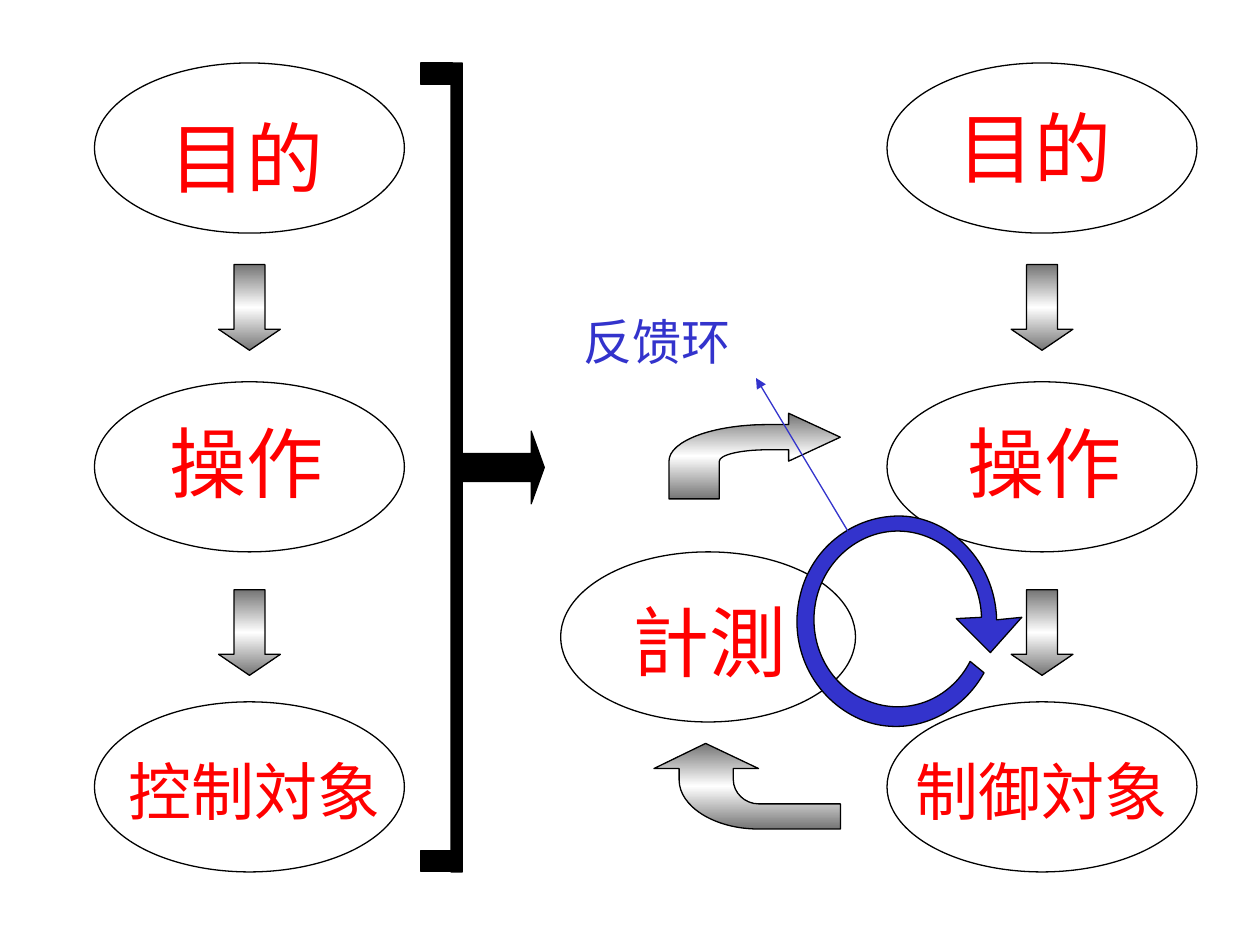
"""Build a slide comparing open control with a feedback loop."""
import copy

import lxml.etree
import pptx
import pptx.dml.color
import pptx.enum.shapes
import pptx.oxml.ns
import pptx.util

Inches = pptx.util.Inches
RGBColor = pptx.dml.color.RGBColor
SHAPES = pptx.enum.shapes.MSO_SHAPE
qn = pptx.oxml.ns.qn

BLACK = RGBColor(0x00, 0x00, 0x00)
WHITE = RGBColor(0xFF, 0xFF, 0xFF)
GRAY = RGBColor(0x75, 0x75, 0x75)
RED = RGBColor(0xFF, 0x00, 0x00)
BLUE = RGBColor(0x33, 0x33, 0xCC)
FONT = "Noto Sans CJK JP"

COLUMNS = (0.75, 7.04)
ROWS = (0.5, 3.03, 5.57)
ELLIPSE_WIDTH, ELLIPSE_HEIGHT = 2.46, 1.35
MEASURE_ELLIPSE = (4.45, 4.38, 2.34, ELLIPSE_HEIGHT)
DOWN_ARROW_TOPS = (2.1, 4.68)
DOWN_ARROW_WIDTH, DOWN_ARROW_HEIGHT = 0.49, 0.68
CALLOUT = (3.58, 0.5, 0.74, 6.42)
BRACKET_ENDS = [(3.34, top, 0.25, 0.17) for top in (0.5, 6.75)]

LABELS = [
    ("目的", 1.25, 0.83, 44),
    ("控制対象", 0.92, 5.92, 36),
    ("操作", 1.25, 3.25, 44),
    ("目的", 7.5, 0.75, 44),
    ("操作", 7.58, 3.25, 44),
    ("制御対象", 7.17, 5.92, 36),
    ("計測", 4.92, 4.67, 44),
]
LABEL_SIZES = {44: (1.5, 0.84), 36: (2.25, 0.7)}

TO_MEASURE_BOX = (5.19, 5.9, 1.48, 0.68)
TO_MEASURE = [
    (6.67, 6.58), (6.02, 6.58), (5.67, 6.58, 5.39, 6.4, 5.39, 6.19),
    (5.39, 6.1), (5.19, 6.1), (5.6, 5.9), (6.02, 6.1), (5.82, 6.1),
    (5.82, 6.19), (5.82, 6.29, 5.91, 6.38, 6.02, 6.38), (6.67, 6.38),
]
TO_OPERATION_BOX = (5.31, 3.28, 1.36, 0.68)
TO_OPERATION = [
    (5.31, 3.96), (5.31, 3.66), (5.31, 3.5, 5.66, 3.37, 6.09, 3.37),
    (6.26, 3.37), (6.26, 3.28), (6.67, 3.47), (6.26, 3.66), (6.26, 3.57),
    (6.09, 3.57), (5.88, 3.57, 5.71, 3.61, 5.71, 3.66), (5.71, 3.96),
]
FEEDBACK_RING_BOX = (6.33, 4.08, 1.58, 1.67)
FEEDBACK_RING = [
    (7.79, 4.9), (7.78, 4.55, 7.53, 4.26, 7.2, 4.22),
    (6.87, 4.18, 6.56, 4.41, 6.48, 4.75), (6.4, 5.09, 6.57, 5.44, 6.88, 5.56),
    (7.19, 5.69, 7.54, 5.56, 7.7, 5.25), (7.81, 5.34),
    (7.61, 5.7, 7.19, 5.86, 6.83, 5.71), (6.46, 5.55, 6.25, 5.14, 6.35, 4.73),
    (6.44, 4.33, 6.81, 4.06, 7.21, 4.1), (7.6, 4.15, 7.9, 4.5, 7.91, 4.92),
    (8.11, 4.9), (7.86, 5.18), (7.59, 4.91),
]


def style_shape(shape, fill):
    shape.shadow.inherit = False
    shape.line.color.rgb = BLACK
    shape.line.width = pptx.util.Pt(0.75)
    if fill is not None:
        shape.fill.solid()
        shape.fill.fore_color.rgb = fill
        return
    shape.fill.gradient()
    shape.fill.gradient_angle = 90
    stop_list = shape._element.spPr.find(".//" + qn("a:gsLst"))
    stop_list.append(copy.deepcopy(stop_list[0]))
    stops = ((0, GRAY), (0.5, WHITE), (1, GRAY))
    for stop, (position, color) in zip(shape.fill.gradient_stops, stops):
        stop.position = position
        stop.color.rgb = color


def add_preset(slide, preset, box, fill=None, adjustments=()):
    shape = slide.shapes.add_shape(preset, *map(Inches, box))
    for index, value in enumerate(adjustments):
        shape.adjustments[index] = value
    style_shape(shape, fill)


def add_outline(slide, outline, box, fill=None):
    left, top, width, height = map(Inches, box)
    corners = [tuple(map(Inches, segment[-2:])) for segment in outline]
    builder = slide.shapes.build_freeform(*corners[0])
    builder.add_line_segments(corners[1:], close=True)
    shape = builder.convert_to_shape()
    shape.left, shape.top, shape.width, shape.height = left, top, width, height
    geometry = shape._element.spPr.find(".//" + qn("a:path"))
    geometry.set("w", str(width))
    geometry.set("h", str(height))
    for command, segment in zip(geometry, outline):
        for point in list(command):
            command.remove(point)
        if len(segment) == 6:
            curve = lxml.etree.Element(qn("a:cubicBezTo"))
            geometry.replace(command, curve)
            command = curve
        for x, y in zip(segment[::2], segment[1::2]):
            lxml.etree.SubElement(command, qn("a:pt"),
                                  x=str(Inches(x) - left), y=str(Inches(y) - top))
    style_shape(shape, fill)


def add_text(slide, text, *, box, size, color, margin=0.1):
    frame = slide.shapes.add_textbox(*map(Inches, box)).text_frame
    frame.word_wrap = True
    frame.margin_left = Inches(margin)
    run = frame.paragraphs[0].add_run()
    run.text = text
    run.font.size = pptx.util.Pt(size)
    run.font.color.rgb = color
    run.font.name = FONT
    lxml.etree.SubElement(run.font._element, qn("a:ea"), typeface=FONT)


def add_pointer(slide, start, end):
    line = slide.shapes.add_connector(
        pptx.enum.shapes.MSO_CONNECTOR.STRAIGHT, *map(Inches, start + end))
    line.line.color.rgb = BLUE
    line.line.width = pptx.util.Pt(0.75)
    lxml.etree.SubElement(line.line._get_or_add_ln(), qn("a:tailEnd"), type="triangle")
    lxml.etree.SubElement(line._element.spPr, qn("a:effectLst"))


def main():
    presentation = pptx.Presentation()
    presentation.slide_width = Inches(10)
    presentation.slide_height = Inches(7.5)
    slide = presentation.slides.add_slide(presentation.slide_layouts[6])

    ellipses = [(left, top, ELLIPSE_WIDTH, ELLIPSE_HEIGHT) for left in COLUMNS for top in ROWS]
    for box in ellipses + [MEASURE_ELLIPSE]:
        add_preset(slide, SHAPES.OVAL, box, WHITE)
    for column in COLUMNS:
        left = column + (ELLIPSE_WIDTH - DOWN_ARROW_WIDTH) / 2
        for top in DOWN_ARROW_TOPS:
            box = (left, top, DOWN_ARROW_WIDTH, DOWN_ARROW_HEIGHT)
            add_preset(slide, SHAPES.DOWN_ARROW, box, adjustments=(0.5, 0.34))
    add_outline(slide, TO_MEASURE, TO_MEASURE_BOX)
    add_outline(slide, TO_OPERATION, TO_OPERATION_BOX)

    add_preset(slide, SHAPES.RIGHT_ARROW_CALLOUT, CALLOUT, BLACK, (0.3, 0.39, 0.14, 0.12))
    for box in BRACKET_ENDS:
        add_preset(slide, SHAPES.RECTANGLE, box, BLACK)

    for text, left, top, size in LABELS:
        add_text(slide, text, box=(left, top, *LABEL_SIZES[size]), size=size, color=RED)
    add_outline(slide, FEEDBACK_RING, FEEDBACK_RING_BOX, BLUE)
    add_text(slide, "反馈环", box=(3.83, 2.42, 4.92, 0.57), size=28, color=BLUE, margin=0.8)
    add_pointer(slide, (6.75, 4.25), (6, 3))

    presentation.save("out.pptx")


if __name__ == "__main__":
    main()
